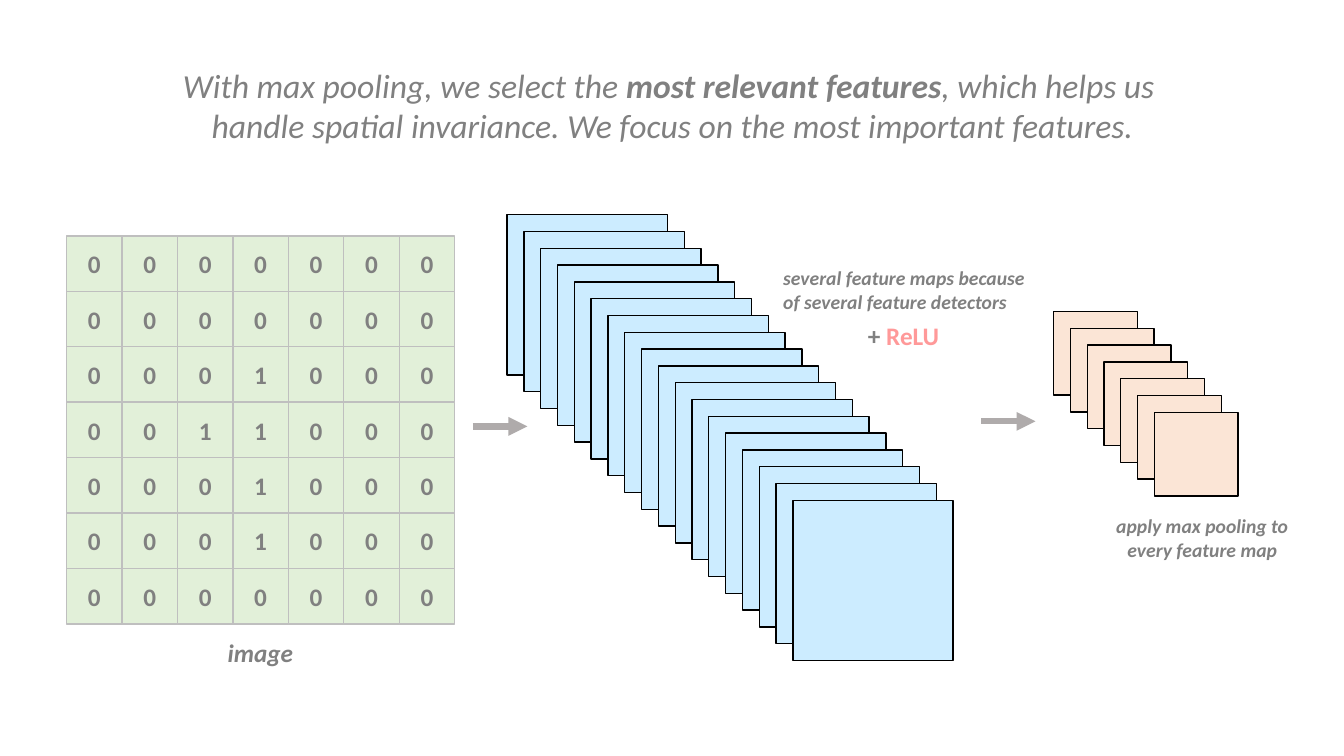
"""Build a slide on how max pooling keeps the most relevant features."""
from lxml import etree
from pptx import Presentation
from pptx import util as u
from pptx.dml.color import RGBColor
from pptx.enum import shapes, text
from pptx.oxml.ns import qn

COLOURS = {
    "text": "808080",
    "accent": "FF9999",
    "image": "E2F0D9",
    "grid": "BFBFBF",
    "feature": "CCECFF",
    "pooled": "FBE5D6",
    "outline": "000000",
    "arrow": "AFABAB",
}
IMAGE_ROWS = ["0000000", "0000000", "0001000", "0011000", "0001000", "0001000", "0000000"]
CELL = 0.55
STACK_STEP = 1 / 6


class Painter:
    """Holds the text style and the current page, and draws elements on it."""

    font = "Calibri"

    def __init__(self, page):
        self.page = page

    def colour(self, name):
        """Return the named colour."""
        return RGBColor.from_string(COLOURS[name])

    def add_lines(self, frame, lines, size, align, bold=True, italic=True):
        """Put lines of (words, overrides) runs into a text frame."""
        for index, line in enumerate(lines):
            para = frame.add_paragraph() if index else frame.paragraphs[0]
            para.alignment = align
            para.line_spacing = 1.0
            para.space_before = u.Pt(0)
            for words, override in line:
                span = para.add_run()
                span.text = words
                span.font.name = self.font
                span.font.size = u.Pt(size)
                span.font.bold = override.get("bold", bold)
                span.font.italic = italic
                span.font.color.rgb = self.colour(override.get("colour", "text"))

    def title(self, left, top, width, height, lines, size):
        """Place and fill the title placeholder."""
        box = self.page.shapes.title
        box.left, box.top = u.Inches(left), u.Inches(top)
        box.width, box.height = u.Inches(width), u.Inches(height)
        frame = box.text_frame
        frame.word_wrap = False
        frame.auto_size = text.MSO_AUTO_SIZE.NONE
        frame.vertical_anchor = text.MSO_ANCHOR.TOP
        self.add_lines(frame, lines, size, text.PP_ALIGN.CENTER, bold=False)

    def label(self, left, top, width, height, lines, size,
              align=text.PP_ALIGN.LEFT, italic=True):
        """Add a bold caption."""
        box = self.page.shapes.add_textbox(
            u.Inches(left), u.Inches(top), u.Inches(width), u.Inches(height))
        box.text_frame.word_wrap = False
        self.add_lines(box.text_frame, lines, size, align, italic=italic)

    def square(self, left, top, side, fill, line):
        """Add an outlined square."""
        box = self.page.shapes.add_shape(
            shapes.MSO_SHAPE.RECTANGLE,
            u.Inches(left), u.Inches(top), u.Inches(side), u.Inches(side))
        box.shadow.inherit = False
        box.fill.solid()
        box.fill.fore_color.rgb = self.colour(fill)
        box.line.color.rgb = self.colour(line)
        box.line.width = u.Pt(1)
        return box

    def grid(self, left, top, rows):
        """Add a grid of digits, one square a digit."""
        for row, digits in enumerate(rows):
            for column, digit in enumerate(digits):
                box = self.square(left + column * CELL, top + row * CELL,
                                  CELL, "image", "grid")
                box.text_frame.vertical_anchor = text.MSO_ANCHOR.MIDDLE
                self.add_lines(box.text_frame, [[(digit, {})]], 18,
                               text.PP_ALIGN.CENTER, italic=False)

    def stack(self, left, top, side, count, fill):
        """Add overlapping squares running down to the right."""
        for index in range(count):
            shift = index * STACK_STEP
            self.square(left + shift, top + shift, side, fill, "outline")

    def arrow(self, left, top, length):
        """Add a thick arrow pointing right."""
        arrow = self.page.shapes.add_connector(
            shapes.MSO_CONNECTOR.STRAIGHT, u.Inches(left), u.Inches(top),
            u.Inches(left + length), u.Inches(top))
        arrow.line.color.rgb = self.colour("arrow")
        arrow.line.width = u.Pt(4.5)
        properties = arrow._element.spPr
        etree.SubElement(properties.get_or_add_ln(), qn("a:tailEnd"), type="triangle")
        etree.SubElement(properties, qn("a:effectLst"))


def main():
    """Draw the slide and save it."""
    deck = Presentation()
    deck.slide_width, deck.slide_height = u.Inches(13.33), u.Inches(7.5)
    painter = Painter(deck.slides.add_slide(deck.slide_layouts.get_by_name("Title Only")))

    painter.title(1.68, 0.59, 9.98, 0.91, [
        [("With max pooling, we select the ", {}),
         ("most relevant features", {"bold": True}),
         (", which helps us ", {})],
        [("handle spatial invariance. We focus on the most important features.", {})],
    ], 24)

    painter.grid(0.66, 2.34, IMAGE_ROWS)
    painter.label(2.16, 6.27, 0.86, 0.4, [[("image", {})]], 18)

    painter.stack(5.03, 2.13, 1.59, 18, "feature")
    painter.label(7.67, 2.59, 2.6, 0.57, [
        [("several feature maps because", {})],
        [("of several feature detectors", {})],
    ], 14)
    painter.arrow(4.69, 4.23, 0.54)
    painter.label(8.51, 3.13, 0.92, 0.4,
                  [[("+ ", {}), ("ReLU", {"colour": "accent"})]], 18, italic=False)

    painter.stack(10.45, 3.09, 0.83, 7, "pooled")
    painter.arrow(9.73, 4.18, 0.54)
    painter.label(10.97, 5.05, 1.91, 0.57, [
        [("apply max pooling to", {})],
        [("every feature map", {})],
    ], 14, text.PP_ALIGN.CENTER)

    deck.save("out.pptx")


if __name__ == "__main__":
    main()
